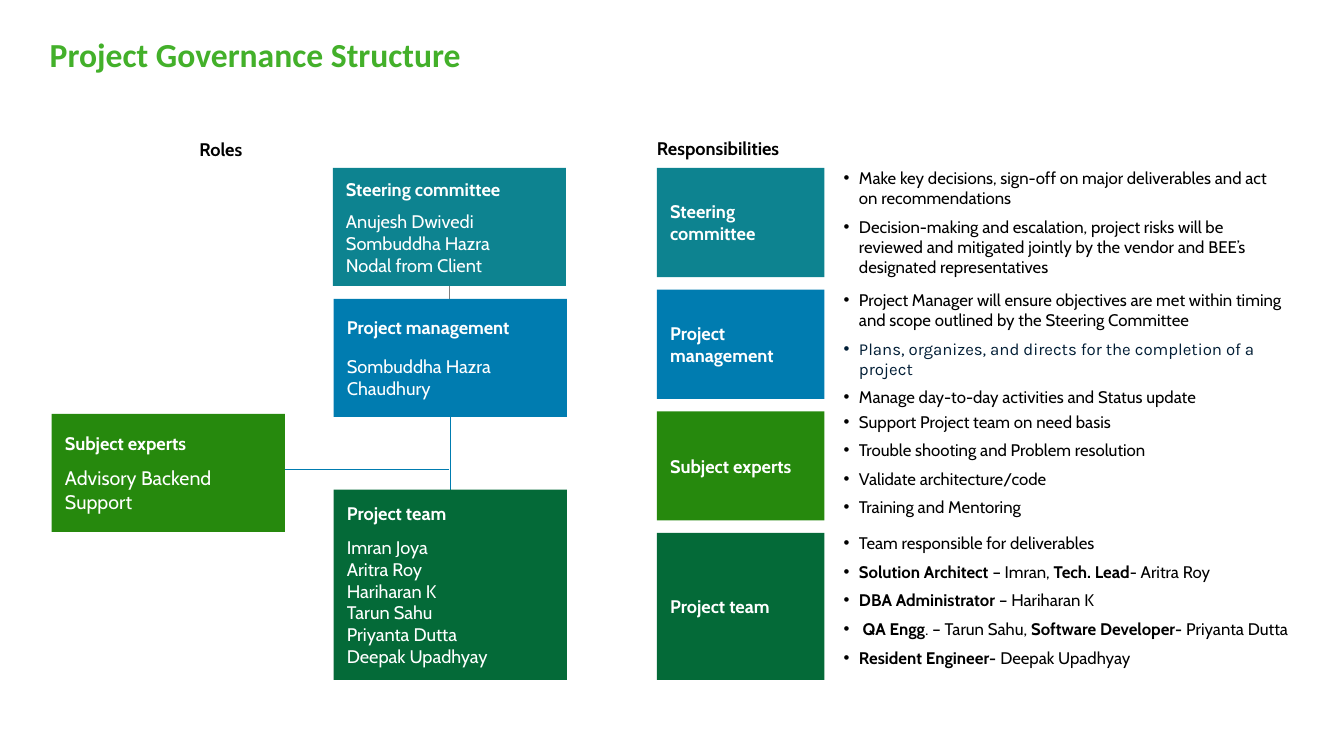
"""Build the project governance slide with its roles chart and responsibilities."""
from lxml.etree import SubElement
from pptx import Presentation
from pptx.dml.color import RGBColor
from pptx.enum.shapes import MSO_CONNECTOR as Connector, MSO_SHAPE as Shape
from pptx.enum.text import MSO_ANCHOR as Anchor, MSO_AUTO_SIZE as AutoSize, PP_ALIGN as Align
from pptx.oxml.ns import qn
from pptx.util import Pt

BLACK = RGBColor(0x00, 0x00, 0x00)
WHITE = RGBColor(0xFF, 0xFF, 0xFF)
LIME = RGBColor(0x43, 0xB0, 0x2A)
TEAL = RGBColor(0x0D, 0x83, 0x90)
BLUE = RGBColor(0x00, 0x7C, 0xB0)
GREEN = RGBColor(0x26, 0x89, 0x0D)
FOREST = RGBColor(0x04, 0x6A, 0x38)
GREY = RGBColor(0x80, 0x80, 0x80)
NAVY = RGBColor(0x00, 0x1D, 0x35)

HEADING = {"name": "Cabin", "size": Pt(13), "bold": True}
MEMBER = {"name": "Cabin", "size": Pt(13), "bold": False}
DUTY = {"name": "Cabin", "size": Pt(12), "bold": False}
QUOTED = {"name": "Karla", "size": Pt(12), "bold": False}
TITLE = {"name": "Calibri", "size": Pt(24), "bold": True}

COMMITTEE, MANAGEMENT = "Steering committee", "Project management"
EXPERTS, TEAM = "Subject experts", "Project team"

ROLES = [
    (TEAM, FOREST, (238.4, 349.7, 166.5, 136), 8.5, 13,
     ["Imran Joya", "Aritra Roy", "Hariharan K", "Tarun Sahu", "Priyanta Dutta",
      "Deepak Upadhyay"]),
    (COMMITTEE, TEAL, (237.7, 120, 166.5, 84.3), 7.3, 13,
     ["Anujesh Dwivedi", "Sombuddha Hazra", "Nodal from Client"]),
    (MANAGEMENT, BLUE, (238.4, 213.6, 166.5, 84.3), 12.2, 13,
     ["Sombuddha Hazra Chaudhury"]),
    (EXPERTS, GREEN, (37, 295.7, 166.5, 84.3), 8.5, 14,
     ["Advisory Backend Support"]),
]

RESPONSIBILITIES = [
    (COMMITTEE, TEAL, 78, 316, [
        "Make key decisions, sign-off on major deliverables and act on recommendations",
        "Decision-making and escalation, project risks will be reviewed and mitigated "
        "jointly by the vendor and BEE’s designated representatives"]),
    (MANAGEMENT, BLUE, 78, 316, [
        "Project Manager will ensure objectives are met within timing and scope "
        "outlined by the Steering Committee",
        "Plans, organizes, and directs for the completion of a project",
        "Manage day-to-day activities and Status update"]),
    (EXPERTS, GREEN, 78, 280, [
        "Support Project team on need basis",
        "Trouble shooting and Problem resolution",
        "Validate architecture/code",
        "Training and Mentoring"]),
    (TEAM, FOREST, 105, 340.5, [
        "Team responsible for deliverables",
        "*Solution Architect *– Imran, *Tech. Lead*- Aritra Roy",
        "*DBA Administrator *– Hariharan K",
        " *QA Engg*. – Tarun Sahu, *Software Developer- *Priyanta Dutta",
        "*Resident Engineer- *Deepak Upadhyay"]),
]

LINKS = [
    ((201, 335.5), (321, 335.5), BLUE, 0.5),
    ((321.1, 204), (321.1, 230), GREY, 0.75),
    ((321.8, 298), (321.8, 350), BLUE, 0.5),
]


class GovernanceSlide:
    """Hold the current slide and draw its elements in one style."""

    def __init__(self, deck):
        self.slide = deck.slides.add_slide(deck.slide_layouts[5])
        self.shapes = self.slide.shapes

    def frame(self, shape, inset, anchor):
        frame = shape.text_frame
        layout = {"word_wrap": True, "auto_size": AutoSize.NONE, "vertical_anchor": anchor,
                  "margin_left": Pt(inset), "margin_right": Pt(inset),
                  "margin_top": Pt(inset), "margin_bottom": Pt(inset)}
        for key, value in layout.items():
            setattr(frame, key, value)
        return frame

    def add_text(self, paragraph, text, style, color):
        paragraph.alignment = Align.LEFT
        for index, part in enumerate(text.split("*")):
            if part:
                run = paragraph.add_run()
                run.text = part
                for key, value in style.items():
                    setattr(run.font, key, value)
                run.font.bold = style["bold"] or index % 2 == 1
                run.font.color.rgb = color

    def title(self, text, bounds):
        heading = self.shapes.title
        for key, value in zip(("left", "top", "width", "height"), bounds):
            setattr(heading, key, Pt(value))
        paragraph = self.frame(heading, 0, Anchor.TOP).paragraphs[0]
        paragraph.line_spacing = 0.9
        self.add_text(paragraph, text, TITLE, LIME)

    def label(self, text, bounds):
        caption = self.shapes.add_textbox(*map(Pt, bounds))
        self.add_text(self.frame(caption, 0, Anchor.TOP).paragraphs[0], text, HEADING, BLACK)

    def box(self, heading, color, bounds, members=(), gap=0, size=13):
        panel = self.shapes.add_shape(Shape.RECTANGLE, *map(Pt, bounds))
        panel.shadow.inherit = False
        panel.fill.solid()
        panel.fill.fore_color.rgb = color
        panel.line.fill.background()
        frame = self.frame(panel, 9.4, Anchor.MIDDLE)
        self.add_text(frame.paragraphs[0], heading, HEADING, WHITE)
        for index, member in enumerate(members):
            paragraph = frame.add_paragraph()
            paragraph.space_before = Pt(0 if index else gap)
            self.add_text(paragraph, member, MEMBER | {"size": Pt(size)}, WHITE)

    def duties(self, items, bounds):
        listing = self.shapes.add_textbox(*map(Pt, bounds))
        frame = self.frame(listing, 0, Anchor.TOP)
        for index, item in enumerate(items):
            paragraph = frame.add_paragraph() if index else frame.paragraphs[0]
            properties = paragraph._p.get_or_add_pPr()
            properties.set("marL", str(Pt(11)))
            properties.set("indent", str(-Pt(11)))
            SubElement(properties, qn("a:buFont"), typeface="Arial")
            SubElement(properties, qn("a:buChar"), char="•")
            paragraph.level = 1
            paragraph.space_after = Pt(6)
            quoted = item.startswith("Plans")
            self.add_text(paragraph, item, QUOTED if quoted else DUTY, NAVY if quoted else BLACK)

    def link(self, start, end, color, weight):
        line = self.shapes.add_connector(Connector.STRAIGHT, *map(Pt, start + end))
        line.line.color.rgb = color
        line.line.width = Pt(weight)
        SubElement(line._element.spPr, qn("a:effectLst"))


def main():
    deck = Presentation()
    deck.slide_width, deck.slide_height = Pt(960), Pt(540)
    page = GovernanceSlide(deck)
    page.title("Project Governance Structure", (35.5, 27.4, 890, 26.6))
    page.label("Responsibilities", (469.3, 98, 432, 16))
    page.label("Roles", (142.4, 98.6, 319, 16))
    for row, (role, color, height, width, items) in enumerate(RESPONSIBILITIES):
        top = 120 + 86.9 * row
        page.box(role, color, (469.3, top, 119.5, height))
        page.duties(items, (602.6, top, width, height))
    for link in LINKS:
        page.link(*link)
    for role, color, bounds, gap, size, members in ROLES:
        page.box(role, color, bounds, members, gap, size)
    deck.save("out.pptx")


if __name__ == "__main__":
    main()
